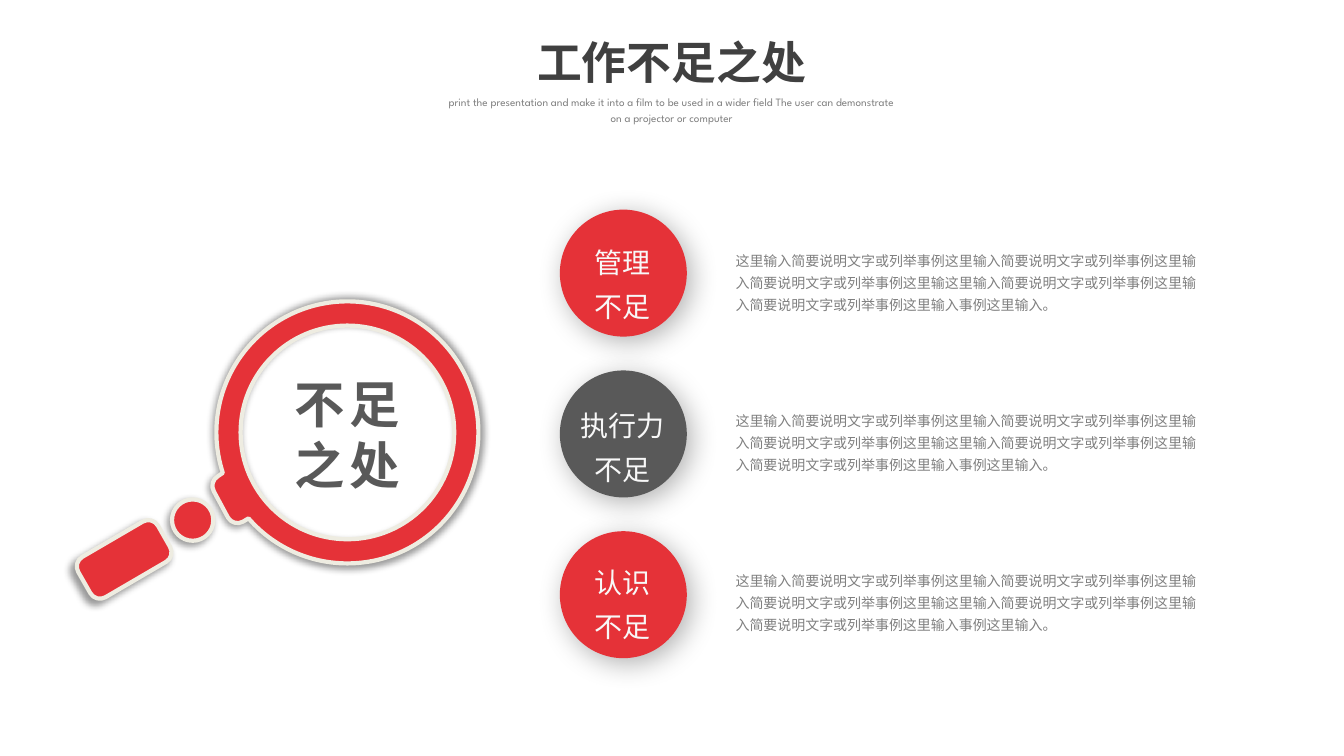
from math import cos, radians, sin, tan

from lxml import etree
from pptx import Presentation
from pptx.dml.color import RGBColor
from pptx.enum.shapes import MSO_SHAPE
from pptx.enum.text import MSO_AUTO_SIZE, PP_ALIGN
from pptx.oxml.ns import qn
from pptx.util import Pt

OVAL = MSO_SHAPE.OVAL
GROW = MSO_AUTO_SIZE.SHAPE_TO_FIT_TEXT
LEFT, MID = PP_ALIGN.LEFT, PP_ALIGN.CENTER
PX = 4572
WIDE, HIGH = 2667, 1500
RED, GREY, DARK, SOFT = "E53238", "595959", "404040", "808080"
PALE, CREAM = "F8F8F8", "EEECE1"
SANS, HEAD, BOLD = "Noto Sans CJK SC", "League Spartan", "Lato"
NOTE = (
    "这里输入简要说明文字或列举事例这里输入简要说明文字或列举事例"
    "这里输入简要说明文字或列举事例这里输这里输入简要说明文字或列举事例"
    "这里输入简要说明文字或列举事例这里输入事例这里输入。"
)
FLAWS = [
    (["管理", "不足"], RED, 458, 252),
    (["执行力", "不足"], GREY, 781, 276),
    (["认识", "不足"], RED, 1092, 248),
]


def tint(code):
    """Turn a hex string into a colour."""
    return RGBColor.from_string(code)


def arc(x, y, size, start, end, count=1):
    """List the points of an arc made of cubic curves, angles in degrees."""
    step = radians(end - start) / count
    pull = 4 / 3 * tan(step / 4)
    dots = [(x + size * cos(radians(start)), y + size * sin(radians(start)))]
    for i in range(count):
        a = radians(start) + i * step
        b = a + step
        dots += [
            (x + size * (cos(a) - pull * sin(a)), y + size * (sin(a) + pull * cos(a))),
            (x + size * (cos(b) + pull * sin(b)), y + size * (sin(b) - pull * cos(b))),
            (x + size * cos(b), y + size * sin(b)),
        ]
    return dots


def bend(*spots):
    """Round successive corners of a block tilted by 30 degrees."""
    return [arc(x, y, 22, 240 - 90 * i, 150 - 90 * i) for i, (x, y) in enumerate(spots)]


def spin(dot, hub, turn):
    """Turn a point about a hub and scale it to EMU."""
    x, y = dot[0] - hub[0], dot[1] - hub[1]
    c, s = cos(radians(turn)), sin(radians(turn))
    return (hub[0] + x * c - y * s) * PX, (hub[1] + x * s + y * c) * PX


class Page:
    """Draw styled elements on one slide."""

    def __init__(self, deck):
        """Add a blank slide to the deck."""
        self.shapes = deck.slides.add_slide(deck.slide_layouts[6]).shapes

    def shade(self, shape, blur, dist, turn, alpha, grow=100):
        """Give a shape a soft black shadow."""
        shape.shadow.inherit = False
        box = shape._element.spPr.find(qn("a:effectLst"))
        cast = etree.SubElement(
            box, qn("a:outerShdw"), blurRad=str(Pt(blur)), dist=str(Pt(dist)),
            dir=str(turn * 60000), sx=str(grow * 1000), sy=str(grow * 1000),
            algn="ctr", rotWithShape="0")
        ink = etree.SubElement(cast, qn("a:srgbClr"), val="000000")
        etree.SubElement(ink, qn("a:alpha"), val=str(alpha * 1000))

    def paint(self, shape, fill, line=None, width=0):
        """Set the fill and outline of a shape."""
        shape.fill.solid()
        shape.fill.fore_color.rgb = tint(fill)
        if line:
            shape.line.color.rgb = tint(line)
            shape.line.width = Pt(width)
        else:
            shape.line.fill.background()

    def disc(self, x, y, size, fill):
        """Draw a shaded circle."""
        shape = self.shapes.add_shape(OVAL, x * PX, y * PX, size * PX, size * PX)
        self.paint(shape, fill)
        self.shade(shape, 20, 5, 45, 30)

    def outline(self, rings, hub, turn, fill, line, width):
        """Draw one turned shape out of closed rings of arcs."""
        pen, sizes = None, []
        for ring in rings:
            first, *rest = [spin(dot, hub, -turn) for part in ring for dot in part]
            if pen is None:
                pen = self.shapes.build_freeform(*first, scale=1.0)
            else:
                pen.move_to(*first)
            pen.add_line_segments(rest, close=True)
            for part in ring:
                sizes += [1] + [3] * (len(part) // 3)
            sizes.remove(1) if ring is rings[0] else sizes.pop(-sum(
                1 + len(part) // 3 for part in ring))
        shape = pen.convert_to_shape()
        nodes = iter(list(shape._element.iter(qn("a:lnTo"))))
        for size in sizes:
            batch = [next(nodes) for _ in range(size)]
            if size == 3:
                curve = etree.Element(qn("a:cubicBezTo"))
                batch[0].addprevious(curve)
                for node in batch:
                    curve.append(node[0])
                    node.getparent().remove(node)
        shape.rotation = turn
        self.paint(shape, fill, line, width)
        self.shade(shape, 5, 0, 0, 40, 102)

    def text(self, place, lines, face, size, ink, align=LEFT, gap=None,
             bold=False, wrap=True, track=0):
        """Write lines as paragraphs of a text box."""
        frame = self.shapes.add_textbox(*[n * PX for n in place]).text_frame
        frame.word_wrap = wrap
        frame.auto_size = GROW
        for i, line in enumerate(lines):
            para = frame.paragraphs[0] if i == 0 else frame.add_paragraph()
            run = para.add_run()
            run.text = line
            para.alignment = align
            para.line_spacing = gap
            style = {"name": face, "size": Pt(size), "bold": bold}
            for key, value in style.items():
                setattr(run.font, key, value)
            run.font.color.rgb = tint(ink)
            props = run._r.get_or_add_rPr()
            etree.SubElement(props, qn("a:ea"), typeface=SANS)
            if track:
                props.set("spc", str(track * 100))


def main():
    """Build and save the slide."""
    deck = Presentation()
    deck.slide_width, deck.slide_height = WIDE * PX, HIGH * PX
    page = Page(deck)
    for i, (label, fill, top, width) in enumerate(FLAWS):
        page.disc(1111, 416 + i * 319, 252, fill)
        page.text((1236 - width // 2, top, width, 196), label, SANS, 20, PALE, MID, 1.3)
        page.text((1440, 481 + i * 318, 964, 196), [NOTE], SANS, 10, SOFT, gap=1.3)

    page.text((866, 59, 934, 128), ["工作不足之处"], HEAD, 32, DARK, MID, bold=True)
    page.text(
        (866, 174, 934, 84),
        ["print the presentation and make it into a film to be used in a wider "
         "field The user can demonstrate on a projector or computer"],
        HEAD, 8, SOFT, MID, 1.2)

    grip = bend((176, 1126), (200, 1168), (320, 1098), (296, 1056))
    rim = [arc(691, 860, 260, 139, -198, 6)] + bend((445, 966), (473, 1018))
    lens = [arc(691, 860, 212, 0, 360, 4)]
    bead = [arc(384, 1034, 41, 0, 360, 4)]
    page.outline([grip, rim, lens, bead], (573, 928), 15.4, RED, CREAM, 3)
    page.text((565, 731, 260, 262), ["不足", "之处"], BOLD, 36, GREY,
              bold=True, wrap=False, track=3)
    deck.save("out.pptx")


if __name__ == "__main__":
    main()
